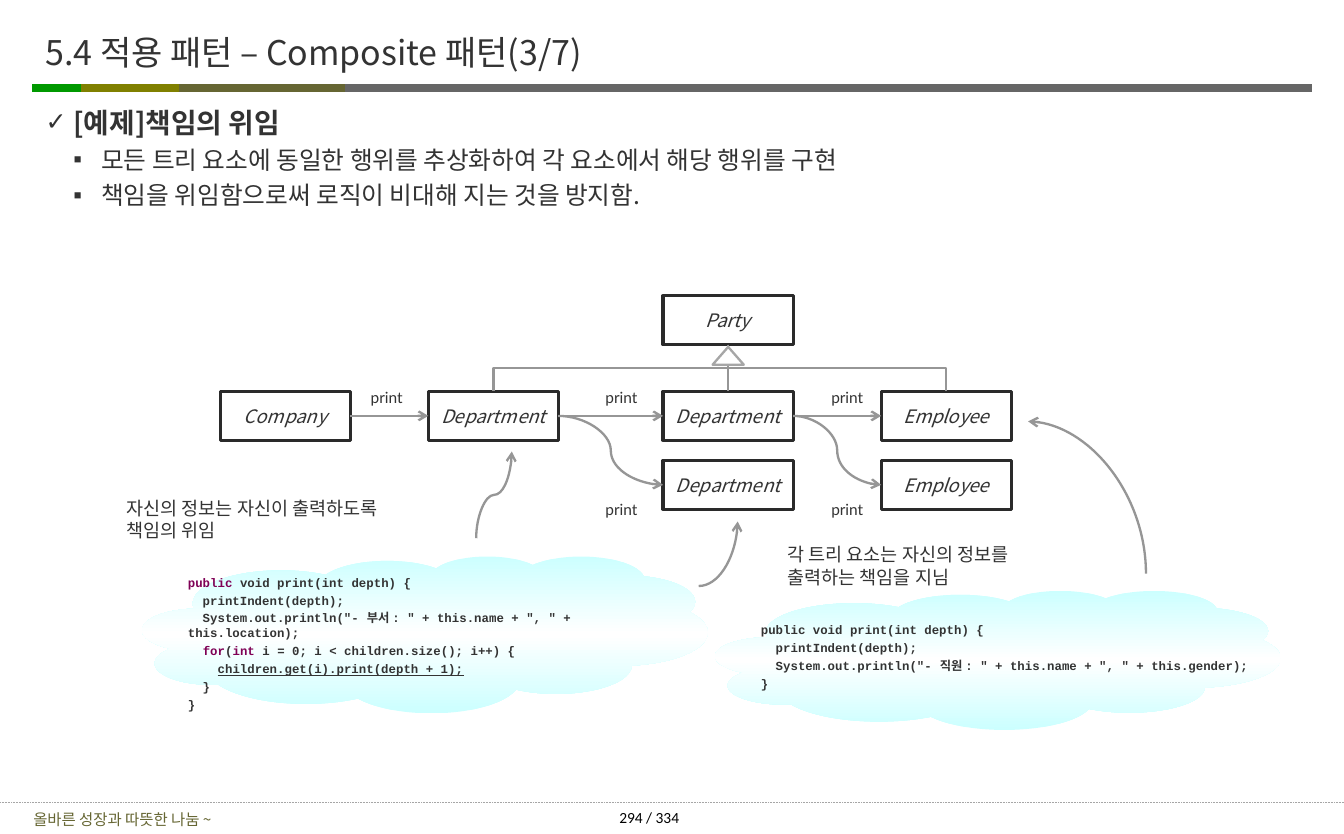
import copy

import pptx
import pptx.dml.color
import pptx.enum.dml
import pptx.enum.shapes
import pptx.enum.text
import pptx.oxml
import pptx.oxml.ns
import pptx.util

Inches = pptx.util.Inches
Pt = pptx.util.Pt
RGBColor = pptx.dml.color.RGBColor
SHAPE = pptx.enum.shapes.MSO_SHAPE
LINK = pptx.enum.shapes.MSO_CONNECTOR
ALIGN = pptx.enum.text.PP_ALIGN
MIDDLE = pptx.enum.text.MSO_ANCHOR.MIDDLE
qn = pptx.oxml.ns.qn

INK = RGBColor(0x33, 0x33, 0x33)
BLACK = RGBColor(0, 0, 0)
WHITE = RGBColor(0xFF, 0xFF, 0xFF)
EDGE = RGBColor(0x2A, 0x2A, 0x2A)
GRAY = RGBColor(0x96, 0x96, 0x96)
PALE = RGBColor(0xA6, 0xA6, 0xA6)
DARK = RGBColor(0x66, 0x66, 0x66)
GREEN = RGBColor(0, 0x99, 0)
OLIVE = RGBColor(0x80, 0x80, 0)
MOSS = RGBColor(0x66, 0x66, 0x33)
AQUA = RGBColor(0xCC, 0xFF, 0xFF)
PLUM = RGBColor(0x7F, 0, 0x55)

SANS = "Noto Sans CJK KR"
CODE = {"name": "Courier New", "size": Pt(8), "bold": True}
NOTE = {"name": SANS, "size": Pt(12)}
NODE = {"name": SANS, "size": Pt(12), "italic": True}
CALL = {"name": "Lato", "size": Pt(10)}

NODE_W, NODE_H = 1.17, 0.44

DEPT_CODE = [
    [("public", PLUM), (" void print(int depth) {", INK)],
    "  printIndent(depth);",
    '  System.out.println("- 부서 : " + this.name + ", " + this.location);',
    [("  ", INK), ("for", PLUM), ("(", INK), ("int ", PLUM),
     ("i = 0; i < children.size(); i++) {", INK)],
    [("    ", INK), ("children.get(i).print(depth + 1);", INK, True)],
    "  }",
    "}",
]
STAFF_CODE = [
    "public void print(int depth) {",
    "  printIndent(depth);",
    '  System.out.println("- 직원 : " + this.name + ", " + this.gender);',
    "}",
]


def put(thing, vals):
    for key, val in vals.items():
        setattr(thing, key, val)


def add_tag(parent, tag, **attrs):
    node = pptx.oxml.parse_xml(f"<a:{tag} {pptx.oxml.ns.nsdecls('a')}/>")
    for key, val in attrs.items():
        node.set(key, val)
    parent.append(node)
    return node


def write(frame, lines, style, color=INK, align=ALIGN.LEFT):
    """Fill a frame; a line is a string or a list of (text, colour, underline)."""
    for i, line in enumerate(lines):
        para = frame.paragraphs[0] if i == 0 else frame.add_paragraph()
        size = style["size"].pt
        put(para, {"alignment": align, "space_before": Pt(round(size / 4) if i else 0)})
        if style["name"] == SANS:
            para.line_spacing = Pt(round(size * 1.19, 1))
        for text, tint, *under in [(line, color)] if isinstance(line, str) else line:
            run = para.add_run()
            run.text = text
            put(run.font, style)
            run.font.color.rgb = tint
            if under:
                run.font.underline = True
            add_tag(run.font._element, "ea", typeface=SANS)


def add_text(slide, box, lines, style, color=INK, align=ALIGN.LEFT, wrap=True):
    frame = slide.shapes.add_textbox(*map(Inches, box)).text_frame
    frame.word_wrap = wrap
    write(frame, lines, style, color, align)
    return frame


def add_line(slide, kind, start, end, color, width):
    line = slide.shapes.add_connector(kind, *map(Inches, start + end))
    put(line.line, {"width": Pt(width)})
    line.line.color.rgb = color
    add_tag(line._element.spPr, "effectLst")
    return line


def add_wire(slide, kind, start, end, upright=False, arrow=True, quarter=False):
    """Draw a routed connector; an upright one leaves its start vertically."""
    turn = 0
    if upright:
        (x1, y1), (x2, y2) = start, end
        turn = 1 if y2 > y1 else -1
        mid_x, mid_y = (x1 + x2) / 2, (y1 + y2) / 2
        half_w, half_h = turn * (y2 - y1) / 2, turn * (x1 - x2) / 2
        start = (mid_x - half_w, mid_y - half_h)
        end = (mid_x + half_w, mid_y + half_h)
    wire = add_line(slide, kind, start, end, GRAY, 1.5)
    props = wire._element.spPr
    if turn:
        props.find(qn("a:xfrm")).set("rot", str(turn % 4 * 5400000))
    if quarter:
        props.find(qn("a:prstGeom")).set("prst", "curvedConnector2")
    if arrow:
        add_tag(props.find(qn("a:ln")), "tailEnd", type="arrow")


def add_frame(slide):
    """Draw the rule under the title and the footer."""
    for left, right, color in [(2.98, 11.79, DARK), (0.29, 1.09, GREEN),
                               (0.73, 1.66, OLIVE), (1.61, 3.1, MOSS)]:
        add_line(slide, LINK.STRAIGHT, (left, 0.79), (right, 0.79), color, 5)
    foot = add_line(slide, LINK.STRAIGHT, (0, 7.22), (12.08, 7.22), PALE, 0.5)
    foot.line.dash_style = pptx.enum.dml.MSO_LINE.ROUND_DOT
    motto = add_text(slide, (0, 7.24, 2.2, 0.26), ["올바른 성장과 따뜻한 나눔 ~"],
                     {"name": SANS, "size": Pt(10)}, MOSS, ALIGN.CENTER)
    motto.vertical_anchor = MIDDLE
    add_text(slide, (5.22, 7.22, 1.23, 0.27), ["294 / 334"],
             {"name": "Calibri", "size": Pt(10)}, BLACK, ALIGN.CENTER)


def place(holder, box):
    put(holder, dict(zip(("left", "top", "width", "height"), map(Inches, box))))
    frame = holder.text_frame
    put(frame, {"margin_" + side: Inches(0.04) for side in ("left", "top", "right", "bottom")})
    frame.auto_size = pptx.enum.text.MSO_AUTO_SIZE.NONE
    return frame


def add_head(slide):
    title = place(slide.shapes.title, (0.37, 0.15, 10, 0.63))
    title.vertical_anchor = MIDDLE
    write(title, ["5.4 적용 패턴 – Composite 패턴(3/7)"], {"name": SANS, "size": Pt(22)})

    body = place(slide.placeholders[1], (0.37, 0.91, 11.5, 1.23))
    write(body, ["[예제]책임의 위임",
                 "모든 트리 요소에 동일한 행위를 추상화하여 각 요소에서 해당 행위를 구현",
                 "책임을 위임함으로써 로직이 비대해 지는 것을 방지함."],
          {"name": SANS, "size": Pt(16)})
    for i, para in enumerate(body.paragraphs):
        level = min(i, 1)
        para.level = level
        props = para._p.get_or_add_pPr()
        props.set("marL", str(Inches(0.25 * (level + 1))))
        props.set("indent", str(Inches(-0.25)))
        add_tag(add_tag(props, "buClr"), "srgbClr", val=str(INK))
        add_tag(props, "buSzPct", val="100000" if level else "90000")
        add_tag(props, "buChar", char="▪" if level else "✓")
    lead = body.paragraphs[0]
    lead.line_spacing = Pt(21.5)
    put(lead.runs[0].font, {"size": Pt(18), "bold": True})


def add_block(slide, kind, box, fill):
    block = slide.shapes.add_shape(kind, *map(Inches, box))
    block.shadow.inherit = False
    if fill:
        block.fill.solid()
        block.fill.fore_color.rgb = fill
    return block


def add_node(slide, name, left, top):
    node = add_block(slide, SHAPE.RECTANGLE, (left, top, NODE_W, NODE_H), WHITE)
    node.line.color.rgb = EDGE
    node.line.width = Pt(2)
    put(node.text_frame, {"word_wrap": False, "vertical_anchor": MIDDLE})
    write(node.text_frame, [name], NODE, align=ALIGN.CENTER)


def add_tree(slide, box):
    """Draw the class tree and its print calls from the box's top left corner."""
    left, top = box[:2]
    cols = [left + step for step in (0, 1.87, 3.98, 5.94)]
    rows = [top + 0.86, top + 1.48]
    for name, col, row in [("Company", 0, 0), ("Department", 1, 0), ("Department", 2, 0),
                           ("Department", 2, 1), ("Employee", 3, 0), ("Employee", 3, 1)]:
        add_node(slide, name, cols[col], rows[row])
    add_node(slide, "Party", cols[2], top)

    for col, row in [(0, 0), (1, 0), (1, 1), (2, 0), (2, 1)]:
        start = (cols[col] + NODE_W, rows[0] + NODE_H / 2)
        end = (cols[col + 1], rows[row] + NODE_H / 2)
        add_wire(slide, LINK.CURVE, start, end)
        label = (cols[col + 1] - (0.62 if col < 2 else 0.55), top + (1.79 if row else 0.78))
        add_text(slide, label + (0.49, 0.27), ["print"], CALL, align=ALIGN.CENTER, wrap=False)

    stem = cols[2] + NODE_W / 2
    for col in cols[1:]:
        add_wire(slide, LINK.ELBOW, (stem, top + NODE_H), (col + NODE_W / 2, rows[0]),
                 upright=True, arrow=False)
    tip = add_block(slide, SHAPE.ISOSCELES_TRIANGLE, (stem - 0.14, top + 0.46, 0.28, 0.16), WHITE)
    tip.line.color.rgb = PALE
    tip.line.width = Pt(1.5)


def add_cloud(slide, box, pad, lines):
    """Draw a cloud holding code that starts pad inches below its top."""
    cloud = add_block(slide, SHAPE.CLOUD, box, None)
    cloud.line.fill.background()
    cloud.fill.gradient()
    cloud.fill.gradient_angle = 90
    stops = cloud._element.spPr.find(".//" + qn("a:gsLst"))
    stops.append(copy.deepcopy(stops[0]))
    for i, stop in enumerate(cloud.fill.gradient_stops):
        stop.position = i / 2
        stop.color.rgb = WHITE if i == 1 else AQUA
    left, top, _, height = box
    add_text(slide, (left + 0.31, top + pad, 4.69, height - 2 * pad), lines, CODE)


def add_notes(slide):
    """Draw the code clouds, their remarks and the arrows to the tree."""
    add_cloud(slide, (1.28, 5, 5.08, 1.41), 0.12, DEPT_CODE)
    add_cloud(slide, (6.43, 5.31, 5.08, 1.25), 0.24, STAFF_CODE)
    add_text(slide, (6.98, 4.84, 2.66, 0.5),
             ["각 트리 요소는 자신의 정보를 출력하는 책임을 지님"], NOTE)
    add_text(slide, (1.04, 4.42, 2.66, 0.5),
             ["자신의 정보는 자신이 출력하도록 책임의 위임"], NOTE)
    add_wire(slide, LINK.CURVE, (4.28, 4.84), (4.6, 4.06), upright=True)
    add_wire(slide, LINK.CURVE, (10.3, 5.16), (9.24, 3.79), upright=True, quarter=True)
    add_wire(slide, LINK.CURVE, (6.28, 5.27), (6.63, 4.69), quarter=True)


def main():
    deck = pptx.Presentation()
    put(deck, {"slide_width": Inches(12.08), "slide_height": Inches(7.5)})
    slide = deck.slides.add_slide(deck.slide_layouts[1])
    add_frame(slide)
    add_head(slide)
    add_tree(slide, (1.98, 2.66, 7.11, 1.92))
    add_notes(slide)
    deck.save("out.pptx")


if __name__ == "__main__":
    main()
